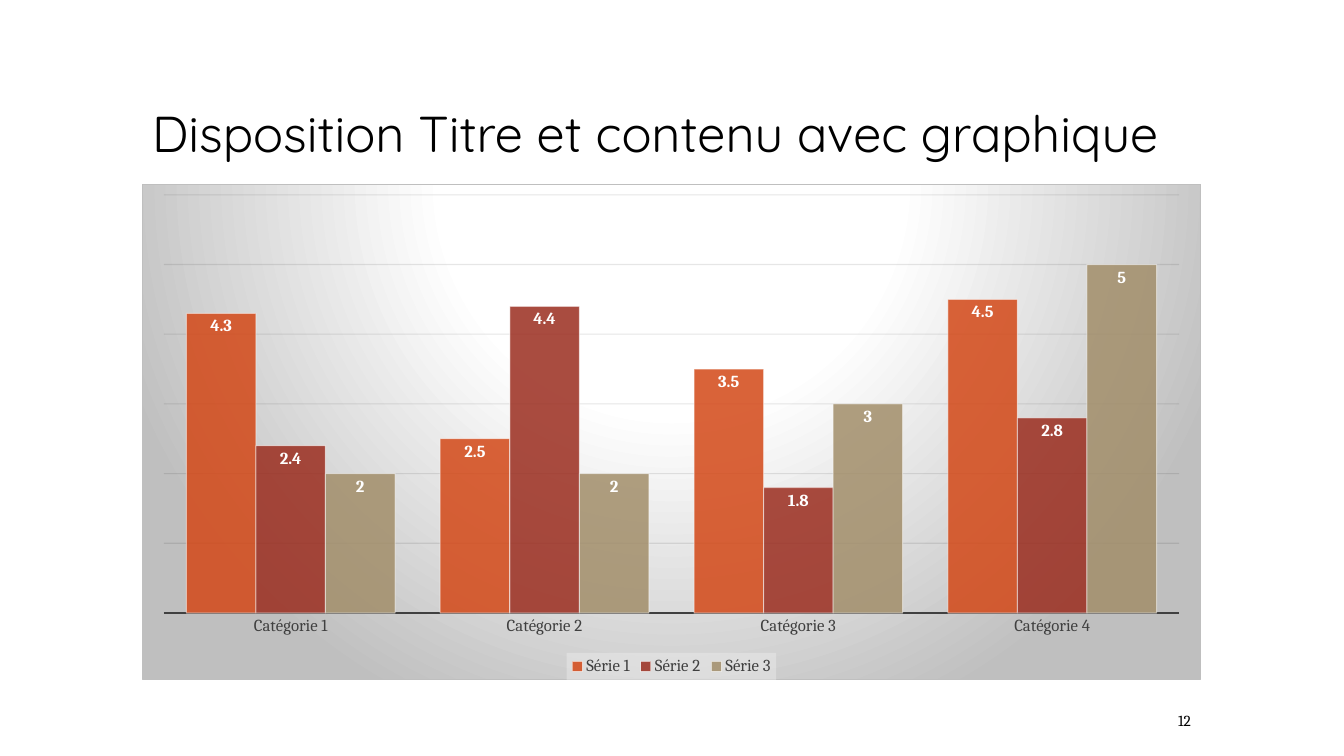
"""Build a title slide with a clustered column chart of three series."""
from dataclasses import dataclass

from lxml.etree import fromstring
from pptx import Presentation
from pptx.chart.data import CategoryChartData as Data
from pptx.dml.color import RGBColor
from pptx.enum.chart import XL_CHART_TYPE as Kind
from pptx.enum.chart import XL_LABEL_POSITION as Spot
from pptx.enum.chart import XL_LEGEND_POSITION as Side
from pptx.enum.chart import XL_TICK_LABEL_POSITION as Tick
from pptx.enum.chart import XL_TICK_MARK as Mark
from pptx.enum.text import MSO_ANCHOR as Anchor
from pptx.enum.text import PP_ALIGN as Align
from pptx.oxml import parse_xml
from pptx.oxml.ns import nsdecls, qn
from pptx.util import Inches, Pt

LEFT, WIDTH = 1.41, 10.5
SERIF = "Cambria"
GRAY = "404040"
GROUPS = [f"Catégorie {n}" for n in range(1, 5)]


@dataclass
class Series:
    name: str
    values: tuple[float, ...]
    color: str


SERIES = [
    Series("Série 1", (4.3, 2.5, 3.5, 4.5), "D34817"),
    Series("Série 2", (2.4, 4.4, 1.8, 2.8), "9B2D1F"),
    Series("Série 3", (2, 2, 3, 5), "A28E6A"),
]


def rgb(code: str) -> RGBColor:
    return RGBColor.from_string(code)


def style(font, size: float, color: str, name: str = SERIF, bold: bool = False) -> None:
    font.size, font.name, font.bold = Pt(size), name, bold
    font.color.rgb = rgb(color)


def stroke(line, color: str, width: float) -> None:
    line.color.rgb = rgb(color)
    line.width = Pt(width)


def fade(node, *shares: int) -> None:
    for tint, share in zip(node.iter(qn("a:srgbClr")), shares):
        tint.append(parse_xml(f'<a:alpha {nsdecls("a")} val="{share * 1000}"/>'))


def shade(chart) -> None:
    stops = "".join(
        f'<a:gs pos="{at * 1000}"><a:srgbClr val="{code}"/></a:gs>'
        for at, code in ((0, "FFFFFF"), (39, "FFFFFF"), (100, "BFBFBF"))
    )
    chart.element.find(qn("c:chart")).addnext(parse_xml(
        f'<c:spPr {nsdecls("c", "a")}><a:gradFill><a:gsLst>{stops}</a:gsLst>'
        '<a:path path="circle"><a:fillToRect l="50000" t="-80000" r="50000" b="180000"/>'
        '</a:path></a:gradFill><a:ln w="9525"><a:solidFill><a:srgbClr val="BFBFBF"/>'
        '</a:solidFill></a:ln></c:spPr>'
    ))


def set_axes(chart) -> None:
    base, scale = chart.category_axis, chart.value_axis
    base.major_tick_mark = base.minor_tick_mark = Mark.NONE
    base.tick_label_position = Tick.NEXT_TO_AXIS
    style(base.tick_labels.font, 12, GRAY)
    stroke(base.format.line, GRAY, 1.5)
    scale.visible = False
    scale.minimum_scale, scale.maximum_scale, scale.major_unit = 0, 6, 1
    stroke(scale.major_gridlines.format.line, "0D0D0D", 0.75)
    fade(next(chart.element.iter(qn("c:majorGridlines"))), 10)


def set_bars(chart) -> None:
    plot = chart.plots[0]
    plot.gap_width, plot.overlap, plot.vary_by_categories = 65, 0, False
    nodes = chart.element.iter(qn("c:ser"))
    for bars, item, node in zip(plot.series, SERIES, nodes):
        bars.format.fill.solid()
        bars.format.fill.fore_color.rgb = rgb(item.color)
        stroke(bars.format.line, "FFFFFF", 0.75)
        fade(node.find(qn("c:spPr")), 85, 50)
        labels = bars.data_labels
        labels.show_value = True
        labels.position = Spot.INSIDE_END
        style(labels.font, 12, "FFFFFF", bold=True)


def set_legend(chart) -> None:
    chart.has_legend = True
    legend = chart.legend
    legend.position, legend.include_in_layout = Side.BOTTOM, False
    style(legend.font, 12, GRAY)
    panel = parse_xml(
        f'<c:spPr {nsdecls("c", "a")}><a:solidFill><a:srgbClr val="F2F2F2"/>'
        '</a:solidFill></c:spPr>'
    )
    fade(panel, 39)
    next(chart.element.iter(qn("c:legend"))).find(qn("c:txPr")).addprevious(panel)


def add_graph(slide) -> None:
    data = Data()
    data.categories = GROUPS
    for item in SERIES:
        data.add_series(item.name, item.values)
    chart = slide.shapes.add_chart(
        Kind.COLUMN_CLUSTERED, Inches(LEFT), Inches(1.83), Inches(WIDTH), Inches(4.92), data
    ).chart
    chart.has_title = False
    style(chart.font, 10, "000000")
    shade(chart)
    set_axes(chart)
    set_bars(chart)
    set_legend(chart)


def add_title(slide, text: str) -> None:
    title = slide.shapes.title
    title.left, title.top = Inches(LEFT), Inches(0.42)
    title.width, title.height = Inches(WIDTH), Inches(1.25)
    frame = title.text_frame
    frame.text, frame.word_wrap = text, True
    frame.vertical_anchor = Anchor.BOTTOM
    para = frame.paragraphs[0]
    para.alignment, para.line_spacing = Align.LEFT, 0.9
    style(para.font, 36, "000000", "Quicksand")


def add_number(slide, text: str) -> None:
    box = slide.shapes.add_textbox(Inches(8.8), Inches(6.95), Inches(3.11), Inches(0.4))
    frame = box.text_frame
    frame.text, frame.word_wrap = text, True
    frame.vertical_anchor = Anchor.MIDDLE
    para = frame.paragraphs[0]
    para.alignment = Align.RIGHT
    style(para.font, 11, "000000")


def main() -> None:
    deck = Presentation()
    deck.slide_width, deck.slide_height = Inches(13.33), Inches(7.5)
    slide = deck.slides.add_slide(deck.slide_layouts[5])
    add_title(slide, "Disposition Titre et contenu avec graphique")
    add_graph(slide)
    add_number(slide, "12")
    deck.save("out.pptx")


if __name__ == "__main__":
    main()
